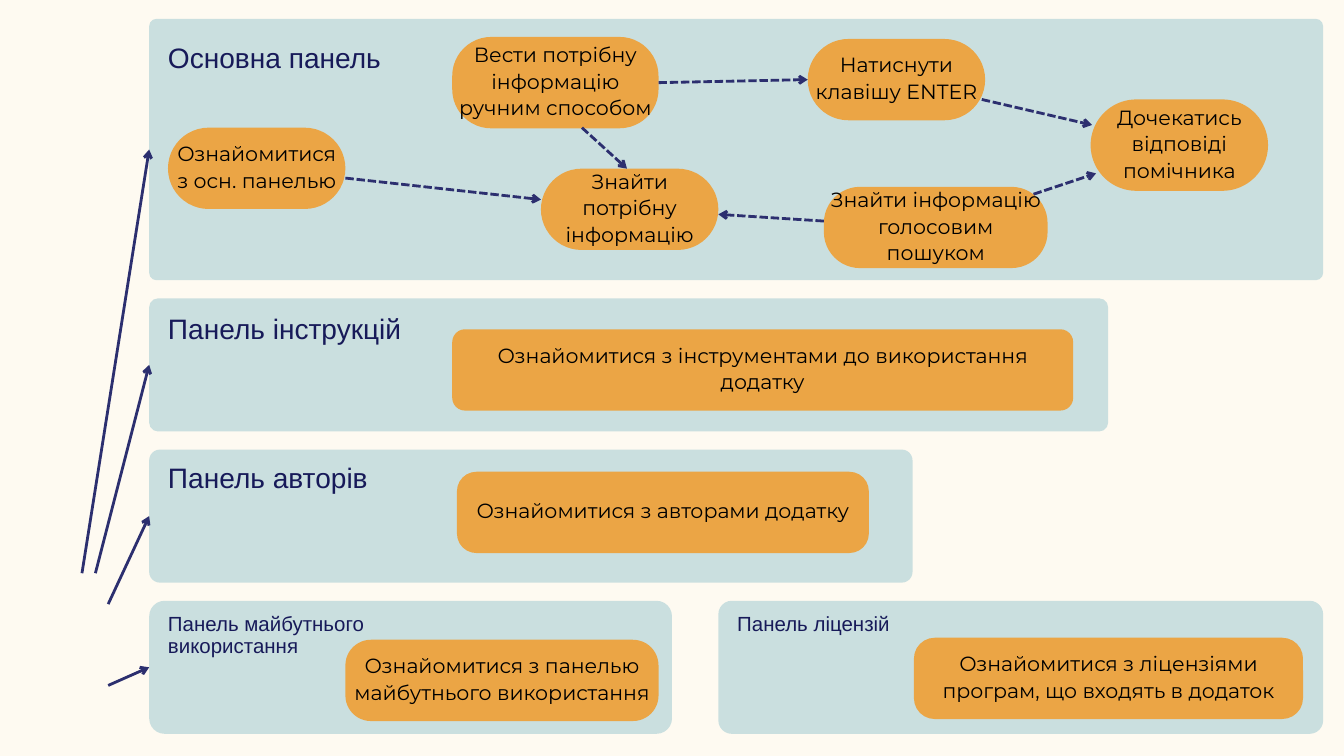
import pptx
import pptx.dml.color
import pptx.enum.dml
import pptx.enum.shapes
import pptx.enum.text
import pptx.oxml.ns
import pptx.util
from lxml import etree

Inches = pptx.util.Inches
Pt = pptx.util.Pt
ALIGN = pptx.enum.text.PP_ALIGN
ANCHOR = pptx.enum.text.MSO_ANCHOR

THEME = {
    "background": "FEFAF1", "panel": "CADFDF", "step": "EBA545",
    "title": "171A59", "text": "000000", "line": "2C2F6F",
    "title_font": "Arial", "step_font": "Montserrat",
    "step_size": 22, "step_spacing": 28.6, "line_width": 3,
}
LARGE = {"size": 30.1, "spacing": 31.9}
SMALL = {"size": 21.9, "spacing": 23.3}
PANEL_HEIGHT, STEP_HEIGHT, TALL_STEP = 1.98, 1.21, 1.36

# name: title, (left, top, width, height), corner radius, title top, title height, title format
PANELS = {
    "main": ("Основна панель", (2.22, 0.28, 17.47, 3.89), 0.11, 0.66, 0.46, LARGE),
    "guide": ("Панель інструкцій", (2.22, 4.44, 14.27, PANEL_HEIGHT), 0.13, 4.69, 0.46, LARGE),
    "authors": ("Панель авторів", (2.22, 6.69, 11.36, PANEL_HEIGHT), 0.16, 6.91, 0.46, LARGE),
    "future": ("Панель майбутнього використання", (2.22, 8.94, 7.78, PANEL_HEIGHT), 0.23, 9.14, 0.67, SMALL),
    "licences": ("Панель ліцензій", (10.69, 8.94, 9, PANEL_HEIGHT), 0.2, 9.14, 0.35, SMALL),
}

# name: text, (left, top, width, height), corner radius
STEPS = {
    "explore": ("Ознайомитися з осн. панелью", (2.5, 1.9, 2.64, STEP_HEIGHT), 0.61),
    "type": ("Вести потрібну інформацію ручним способом", (6.73, 0.55, 3.07, TALL_STEP), 0.58),
    "enter": ("Натиснути клавішу ENTER", (12.02, 0.58, 2.64, STEP_HEIGHT), 0.61),
    "wait": ("Дочекатись відповіді помічника", (16.23, 1.48, 2.64, TALL_STEP), 0.68),
    "voice": ("Знайти інформацію голосовим пошуком", (12.26, 2.78, 3.33, STEP_HEIGHT), 0.54),
    "find": ("Знайти потрібну інформацію", (8.05, 2.51, 2.64, STEP_HEIGHT), 0.61),
    "tools": ("Ознайомитися з інструментами до використання додатку", (6.73, 4.9, 9.24, STEP_HEIGHT), 0.19),
    "credits": ("Ознайомитися з авторами додатку", (6.8, 7.02, 6.13, STEP_HEIGHT), 0.29),
    "plans": ("Ознайомитися з панелью майбутнього використання", (5.14, 9.52, 4.66, STEP_HEIGHT), 0.38),
    "terms": ("Ознайомитися з ліцензіями програм, що входять в додаток", (13.6, 9.49, 5.79, STEP_HEIGHT), 0.31),
}

# Each end is a point, or (shape name, side) where it joins the middle of a side
LEFT, RIGHT = 1, 3
PANEL_ARROWS = [
    ((1.22, 8.53), ("main", LEFT)),
    ((1.42, 8.53), ("guide", LEFT)),
    ((1.61, 8.99), ("authors", LEFT)),
    ((1.61, 10.2), ("future", LEFT)),
]
STEP_ARROWS = [
    (("type", RIGHT), ("enter", LEFT)),
    ((14.61, 1.48), (16.25, 1.86)),
    ((12.26, 3.29), (10.69, 3.19)),
    ((5.14, 2.65), (8.05, 2.97)),
    ((8.66, 1.9), (9.33, 2.51)),
    ((15.38, 2.89), (16.31, 2.58)),
]


def colour(name):
    return pptx.dml.color.RGBColor.from_string(THEME[name])


def add_rounded(slide, box, radius, fill):
    shape = slide.shapes.add_shape(
        pptx.enum.shapes.MSO_SHAPE.ROUNDED_RECTANGLE, *map(Inches, box))
    shape.adjustments[0] = min(0.5, radius / min(box[2:]))
    shape.shadow.inherit = False
    shape.fill.solid()
    shape.fill.fore_color.rgb = colour(fill)
    shape.line.fill.background()
    return shape


def add_text(slide, text, box, *, font, size, spacing, color,
             align=ALIGN.LEFT, anchor=ANCHOR.TOP, inset=0):
    frame = slide.shapes.add_textbox(*map(Inches, box)).text_frame
    frame.word_wrap = True
    frame.vertical_anchor = anchor
    frame.margin_left = frame.margin_right = Inches(inset)
    frame.margin_top = frame.margin_bottom = Inches(inset)
    paragraph = frame.paragraphs[0]
    paragraph.alignment = align
    paragraph.line_spacing = Pt(spacing)
    run = paragraph.add_run()
    run.text = text
    run.font.name = font
    run.font.size = Pt(size)
    run.font.color.rgb = colour(color)


def add_arrow(slide, shapes, start, end, dashed=False):
    connector = slide.shapes.add_connector(
        pptx.enum.shapes.MSO_CONNECTOR.STRAIGHT, 0, 0, 0, 0)
    if start[0] in shapes:
        connector.begin_connect(shapes[start[0]], start[1])
    else:
        connector.begin_x, connector.begin_y = map(Inches, start)
    if end[0] in shapes:
        connector.end_connect(shapes[end[0]], end[1])
    else:
        connector.end_x, connector.end_y = map(Inches, end)
    connector.line.color.rgb = colour("line")
    connector.line.width = Pt(THEME["line_width"])
    if dashed:
        connector.line.dash_style = pptx.enum.dml.MSO_LINE.SQUARE_DOT
    qn = pptx.oxml.ns.qn
    etree.SubElement(connector.line._get_or_add_ln(), qn("a:tailEnd"), type="arrow")
    etree.SubElement(connector._element.spPr, qn("a:effectLst"))


def main():
    presentation = pptx.Presentation()
    presentation.slide_width = Inches(20)
    presentation.slide_height = Inches(11.25)
    slide = presentation.slides.add_slide(presentation.slide_layouts[6])
    slide.background.fill.solid()
    slide.background.fill.fore_color.rgb = colour("background")
    shapes = {}

    # Panels and their titles
    for name, (title, box, radius, top, height, text_format) in PANELS.items():
        shapes[name] = add_rounded(slide, box, radius, "panel")
        add_text(slide, title, (box[0] + 0.28, top, 3.94, height),
                 font=THEME["title_font"], color="title", **text_format)

    # Steps, each with a label that starts slightly above the shape
    for name, (text, box, radius) in STEPS.items():
        shapes[name] = add_rounded(slide, box, radius, "step")
        left, top, width, height = box
        add_text(slide, text, (left, top - 0.08, width, height + 0.08),
                 font=THEME["step_font"], size=THEME["step_size"],
                 spacing=THEME["step_spacing"], color="text",
                 align=ALIGN.CENTER, anchor=ANCHOR.MIDDLE, inset=0.06)

    # Arrows to the panels and between the steps
    for start, end in PANEL_ARROWS:
        add_arrow(slide, shapes, start, end)
    for start, end in STEP_ARROWS:
        add_arrow(slide, shapes, start, end, dashed=True)

    presentation.save("out.pptx")


if __name__ == "__main__":
    main()
